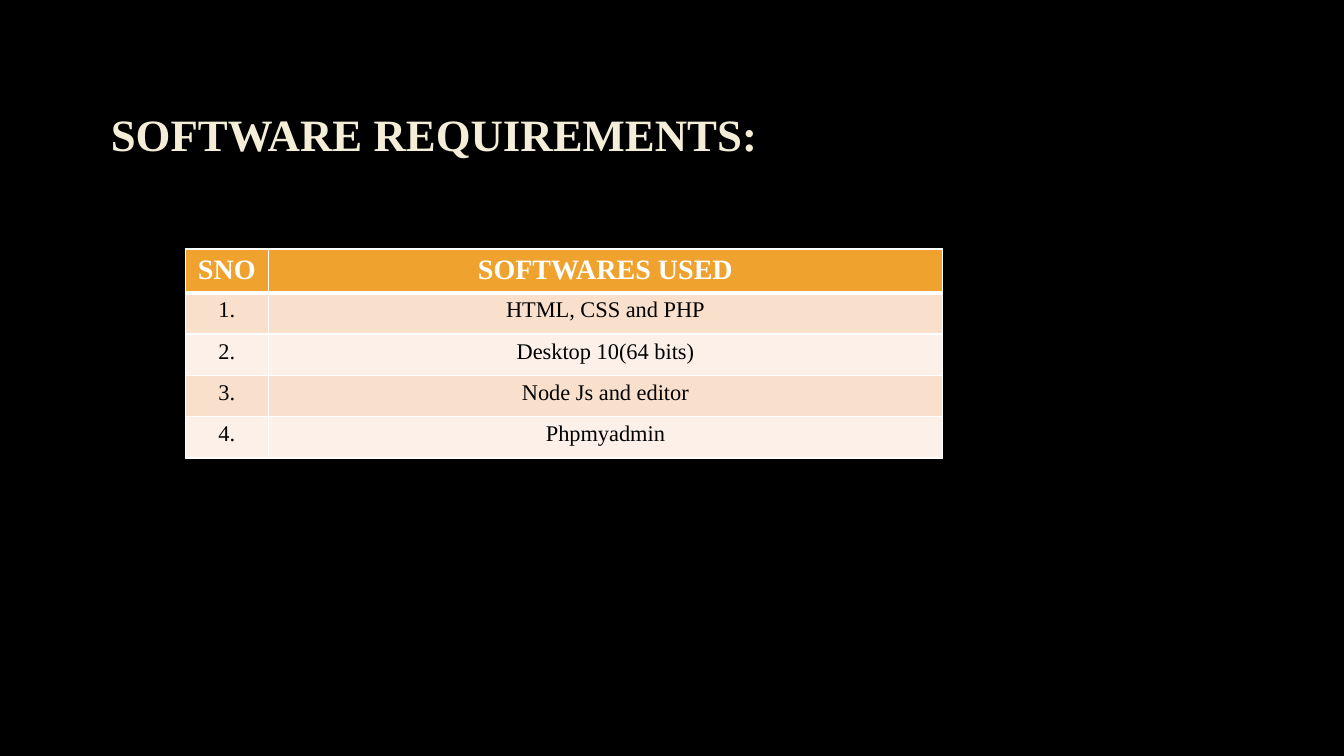
from pptx import Presentation
from pptx.dml.color import RGBColor
from pptx.enum.text import MSO_ANCHOR, PP_ALIGN
from pptx.oxml.ns import qn
from pptx.util import Inches, Pt
from lxml.etree import SubElement

BLACK = RGBColor(0x00, 0x00, 0x00)
WHITE = RGBColor(0xFF, 0xFF, 0xFF)
CREAM = RGBColor(0xF4, 0xED, 0xD8)
ORANGE = RGBColor(0xF0, 0xA2, 0x2E)
PEACH = RGBColor(0xF9, 0xE0, 0xCD)
PALE_PEACH = RGBColor(0xFC, 0xF0, 0xE8)
FONT_NAME = "Times New Roman"

HEADER = ("SNO", "SOFTWARES USED")
SOFTWARE = (
    "HTML, CSS and PHP",
    "Desktop 10(64 bits)",
    "Node Js and editor",
    "Phpmyadmin",
)
COLUMN_WIDTHS = (0.82, 6.69)
ROW_HEIGHT = 0.41


def format_runs(paragraph, size, color, bold):
    for run in paragraph.runs:
        run.font.name = FONT_NAME
        run.font.size = Pt(size)
        run.font.bold = bold
        run.font.color.rgb = color


def set_borders(cell, top, bottom):
    """Give a cell white borders; top and bottom widths are in points."""
    properties = cell._tc.get_or_add_tcPr()
    sides = (("a:lnL", 1), ("a:lnR", 1), ("a:lnT", top), ("a:lnB", bottom))
    for index, (tag, width) in enumerate(sides):
        line = SubElement(properties, qn(tag), w=str(Pt(width)))
        fill = SubElement(line, qn("a:solidFill"))
        SubElement(fill, qn("a:srgbClr"), val=str(WHITE))
        properties.insert(index, line)


def add_title(slide, text):
    box = slide.shapes.add_textbox(Inches(1), Inches(0.67), Inches(11.32), Inches(1.38))
    frame = box.text_frame
    frame.word_wrap = True
    frame.vertical_anchor = MSO_ANCHOR.MIDDLE
    frame.text = text
    paragraph = frame.paragraphs[0]
    paragraph.line_spacing = 0.9
    format_runs(paragraph, 32, CREAM, True)


def fill_cell(cell, text, row):
    is_header = row == 0
    cell.text = text
    paragraph = cell.text_frame.paragraphs[0]
    paragraph.alignment = PP_ALIGN.CENTER
    cell.fill.solid()
    if is_header:
        cell.fill.fore_color.rgb = ORANGE
        format_runs(paragraph, 20, WHITE, True)
    else:
        cell.fill.fore_color.rgb = PEACH if row % 2 else PALE_PEACH
        format_runs(paragraph, 16, BLACK, False)
    set_borders(cell, top=3 if row == 1 else 1, bottom=3 if is_header else 1)


def add_software_table(slide):
    rows = [HEADER] + [(f"{number}.", name) for number, name in enumerate(SOFTWARE, 1)]
    table = slide.shapes.add_table(
        len(rows), len(HEADER), Inches(1.84), Inches(2.47),
        Inches(sum(COLUMN_WIDTHS)), Inches(ROW_HEIGHT * len(rows)),
    ).table
    for column, width in zip(table.columns, COLUMN_WIDTHS):
        column.width = Inches(width)
    for row_index, texts in enumerate(rows):
        table.rows[row_index].height = Inches(ROW_HEIGHT)
        for column_index, text in enumerate(texts):
            fill_cell(table.cell(row_index, column_index), text, row_index)


def main():
    presentation = Presentation()
    presentation.slide_width = Inches(13.33)
    presentation.slide_height = Inches(7.5)
    slide = presentation.slides.add_slide(presentation.slide_layouts[6])
    background = slide.background.fill
    background.solid()
    background.fore_color.rgb = BLACK
    add_title(slide, "SOFTWARE REQUIREMENTS:")
    add_software_table(slide)
    presentation.save("out.pptx")


if __name__ == "__main__":
    main()
